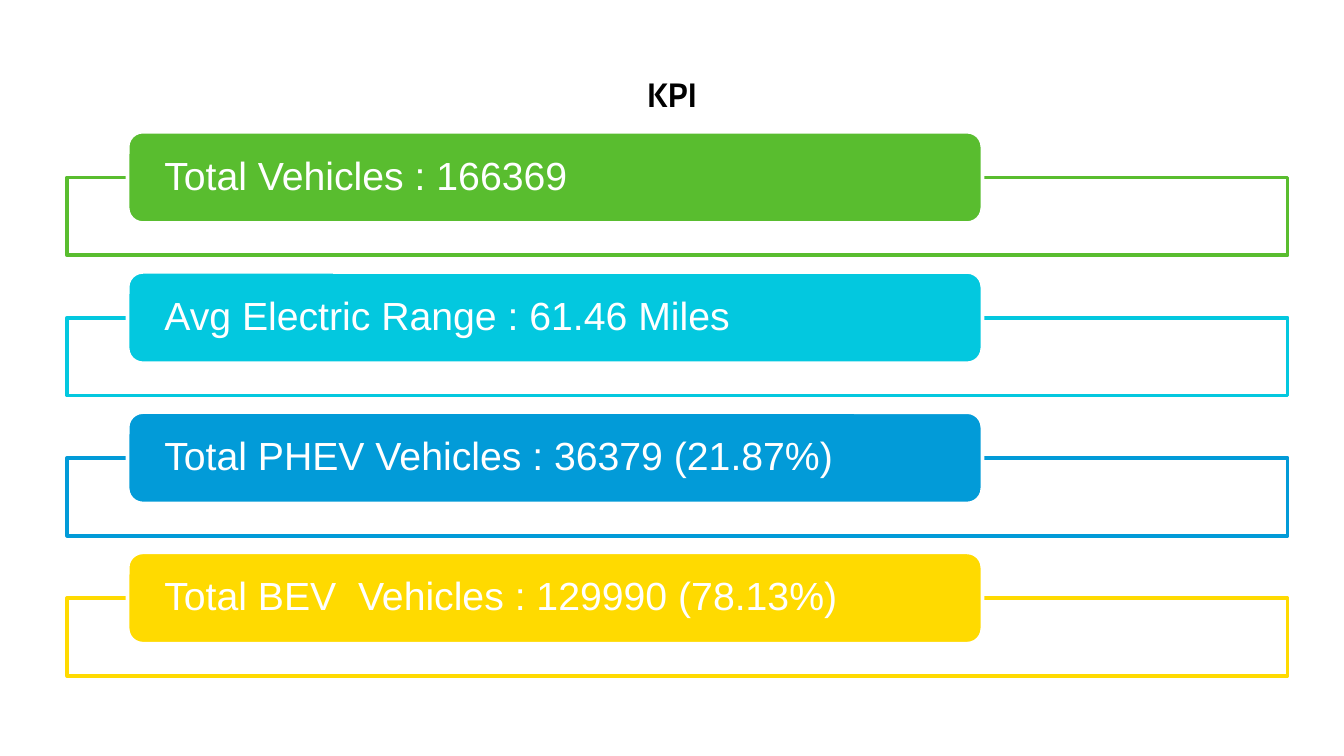
"""Build the KPI slide: a title and four framed metric bars."""
import pptx
import pptx.dml.color
import pptx.enum.shapes
import pptx.enum.text
import pptx.oxml
import pptx.oxml.ns
import pptx.util

Inches = pptx.util.Inches
Pt = pptx.util.Pt
SHAPES = pptx.enum.shapes.MSO_SHAPE
ALIGN = pptx.enum.text.PP_ALIGN
ANCHOR = pptx.enum.text.MSO_ANCHOR

METRICS = [
    ("Total Vehicles : 166369", "59BD2F"),
    ("Avg Electric Range : 61.46 Miles", "03C8DF"),
    ("Total PHEV Vehicles : 36379 (21.87%)", "029BD8"),
    ("Total BEV  Vehicles : 129990 (78.13%)", "FFDA00"),
]
FIRST_TOP = 0.98
LAST_TOP = 4.11
PITCH = (LAST_TOP - FIRST_TOP) / (len(METRICS) - 1)
FRAME_DROP = 0.34


def rgb(value):
    return pptx.dml.color.RGBColor.from_string(value)


def write(sp, text, *, size, font, color, bold=False, align=ALIGN.LEFT,
          anchor=ANCHOR.TOP, side=0.1, edge=0.1, spacing=1.0):
    tf = sp.text_frame
    tf.word_wrap = True
    tf.vertical_anchor = anchor
    tf.margin_left = tf.margin_right = Inches(side)
    tf.margin_top = tf.margin_bottom = Inches(edge)
    p = tf.paragraphs[0]
    p.alignment = align
    p.line_spacing = spacing
    r = p.add_run()
    r.text = text
    r.font.size = Pt(size)
    r.font.name = font
    r.font.bold = bold
    r.font.color.rgb = rgb(color)


class Deck:
    title_font = "Cabin"
    body_font = "Arial"
    white = "FFFFFF"
    black = "000000"

    def __init__(self, prs):
        self.s = prs.slides.add_slide(prs.slide_layouts[6])

    def shape(self, kind, left, top, width, height, fill, line):
        sp = self.s.shapes.add_shape(
            kind, Inches(left), Inches(top), Inches(width), Inches(height))
        sp.shadow.inherit = False
        sp.fill.solid()
        sp.fill.fore_color.rgb = rgb(fill)
        sp.line.color.rgb = rgb(line)
        sp.line.width = Pt(2)
        return sp

    def title(self, text):
        sp = self.s.shapes.add_textbox(
            Inches(0.5), Inches(0.45), Inches(9), Inches(0.53))
        write(sp, text, size=18, font=self.title_font, color=self.black,
              bold=True, align=ALIGN.CENTER)

    def frame(self, top, color):
        sp = self.shape(SHAPES.RECTANGLE, 0.5, top, 9.08, 0.58, self.white, color)
        clr = sp.fill._xPr.find(".//" + pptx.oxml.ns.qn("a:srgbClr"))
        clr.append(pptx.oxml.parse_xml(
            f'<a:alpha {pptx.oxml.ns.nsdecls("a")} val="90000"/>'))

    def bar(self, top, text, color):
        sp = self.shape(SHAPES.ROUNDED_RECTANGLE, 0.95, top, 6.36, 0.68,
                        color, self.white)
        write(sp, text, size=21, font=self.body_font, color=self.white,
              anchor=ANCHOR.MIDDLE, side=0.24, edge=0, spacing=0.9)


def main():
    prs = pptx.Presentation()
    prs.slide_width = Inches(10)
    prs.slide_height = prs.slide_width * 9 // 16
    deck = Deck(prs)
    deck.title("KPI")
    for i, (text, color) in enumerate(METRICS):
        top = FIRST_TOP + i * PITCH
        deck.frame(top + FRAME_DROP, color)
        deck.bar(top, text, color)
    prs.save("out.pptx")


if __name__ == "__main__":
    main()
